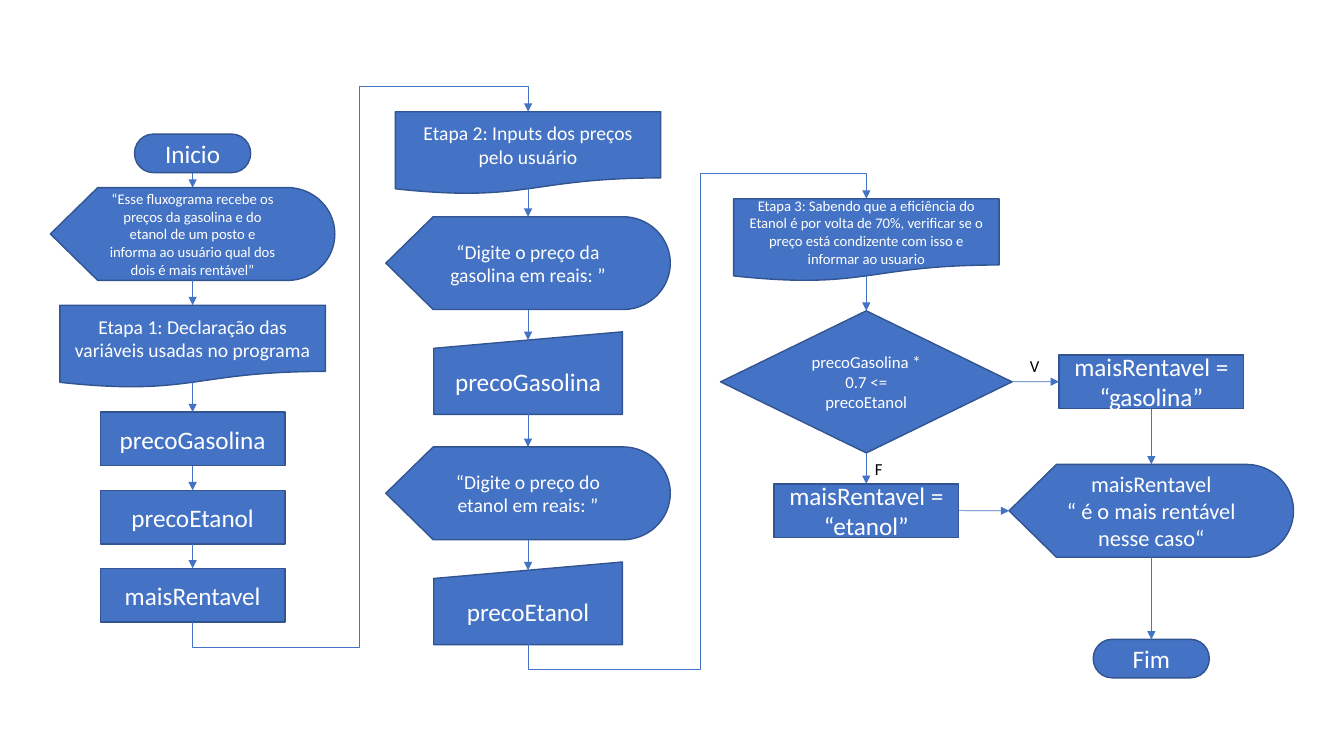
from dataclasses import dataclass
from itertools import pairwise

from lxml.etree import SubElement
from pptx import Presentation
from pptx.dml.color import RGBColor
from pptx.enum.shapes import MSO_CONNECTOR, MSO_SHAPE
from pptx.enum.text import MSO_ANCHOR, MSO_AUTO_SIZE, PP_ALIGN
from pptx.oxml.ns import qn
from pptx.shapes.connector import Connector
from pptx.slide import Slide
from pptx.text.text import TextFrame
from pptx.util import Pt

COLORS = {"fill": "4472C4", "outline": "325491", "light": "FFFFFF", "dark": "000000"}
FONT = "Calibri"
DETOUR = 18


@dataclass(frozen=True)
class Kind:
    preset: MSO_SHAPE
    width: float
    height: float
    top_inset: float = 0
    bottom_inset: float = 0


TERMINATOR = Kind(MSO_SHAPE.FLOWCHART_TERMINATOR, 83, 27.5)
PROCESS = Kind(MSO_SHAPE.FLOWCHART_PROCESS, 132, 38.3)
DOCUMENT = Kind(MSO_SHAPE.FLOWCHART_DOCUMENT, 189.6, 59, bottom_inset=3.9)
DISPLAY = Kind(MSO_SHAPE.FLOWCHART_DISPLAY, 203.2, 66.3)
DECISION = Kind(MSO_SHAPE.FLOWCHART_DECISION, 208.2, 101.5)
MANUAL_INPUT = Kind(MSO_SHAPE.FLOWCHART_MANUAL_INPUT, 134.8, 59, top_inset=5.9)


@dataclass(frozen=True)
class Node:
    kind: Kind
    center: float
    top: float
    text: str
    size: float = 18

    @property
    def left(self) -> float:
        return self.center - self.kind.width / 2

    @property
    def right(self) -> float:
        return self.center + self.kind.width / 2

    @property
    def middle(self) -> float:
        return self.top + self.kind.height / 2

    @property
    def entry(self) -> float:
        return self.top + self.kind.top_inset

    @property
    def exit(self) -> float:
        return self.top + self.kind.height - self.kind.bottom_inset


@dataclass(frozen=True)
class Label:
    text: str
    left: float
    top: float


def format_text(frame: TextFrame, size: float, color: str) -> None:
    for paragraph in frame.paragraphs:
        for run in paragraph.runs:
            run.font.name = FONT
            run.font.size = Pt(size)
            run.font.color.rgb = RGBColor.from_string(COLORS[color])


def draw_node(slide: Slide, node: Node) -> None:
    kind = node.kind
    shape = slide.shapes.add_shape(
        kind.preset, Pt(node.left), Pt(node.top), Pt(kind.width), Pt(kind.height)
    )
    shape.shadow.inherit = False
    shape.fill.solid()
    shape.fill.fore_color.rgb = RGBColor.from_string(COLORS["fill"])
    shape.line.color.rgb = RGBColor.from_string(COLORS["outline"])
    shape.line.width = Pt(1)
    frame = shape.text_frame
    frame.text = node.text
    frame.word_wrap = True
    frame.vertical_anchor = MSO_ANCHOR.MIDDLE
    for paragraph in frame.paragraphs:
        paragraph.alignment = PP_ALIGN.CENTER
    format_text(frame, node.size, "light")


def draw_label(slide: Slide, label: Label) -> None:
    box = slide.shapes.add_textbox(Pt(label.left), Pt(label.top), Pt(21), Pt(21.8))
    frame = box.text_frame
    frame.text = label.text
    frame.word_wrap = False
    frame.auto_size = MSO_AUTO_SIZE.SHAPE_TO_FIT_TEXT
    format_text(frame, 12, "dark")


def draw_arrow(
    slide: Slide,
    begin: tuple[float, float],
    end: tuple[float, float],
    connector_type: MSO_CONNECTOR = MSO_CONNECTOR.STRAIGHT,
) -> Connector:
    connector = slide.shapes.add_connector(
        connector_type, *(Pt(value) for value in begin + end)
    )
    connector.line.color.rgb = RGBColor.from_string(COLORS["fill"])
    connector.line.width = Pt(0.5)
    SubElement(connector.line._get_or_add_ln(), qn("a:tailEnd"), type="triangle")
    SubElement(connector._element.spPr, qn("a:effectLst"))
    return connector


def draw_down_arrow(slide: Slide, source: Node, target: Node) -> None:
    draw_arrow(slide, (source.center, source.exit), (target.center, target.entry))


def draw_right_arrow(slide: Slide, source: Node, target: Node) -> None:
    draw_arrow(slide, (source.right, source.middle), (target.left, target.middle))


def draw_column_jump(slide: Slide, source: Node, target: Node, lane: float) -> None:
    rise = source.exit - target.entry
    run = target.center - source.center
    center_x = (source.center + target.center) / 2
    center_y = (source.exit + target.entry) / 2
    connector = draw_arrow(
        slide,
        (center_x + rise / 2, center_y + run / 2),
        (center_x - rise / 2, center_y - run / 2),
        MSO_CONNECTOR.ELBOW,
    )
    properties = connector._element.spPr
    properties.find(qn("a:xfrm")).set("rot", "5400000")
    geometry = properties.find(qn("a:prstGeom"))
    geometry.set("prst", "bentConnector5")
    adjustments = geometry.find(qn("a:avLst"))
    ratios = (-DETOUR / rise, (lane - source.center) / run, 1 + DETOUR / rise)
    for number, ratio in enumerate(ratios, start=1):
        SubElement(
            adjustments, qn("a:gd"), name=f"adj{number}", fmla=f"val {round(ratio * 100000)}"
        )


FIRST, SECOND, THIRD, FOURTH = 137.6, 377.2, 618.8, 822.4

declaration_column = [
    Node(TERMINATOR, FIRST, 95.8, "Inicio"),
    Node(DISPLAY, FIRST, 134, "“Esse fluxograma recebe os preços da gasolina e do etanol de um "
         "posto e informa ao usuário qual dos dois é mais rentável”", 10.5),
    Node(DOCUMENT, FIRST, 218, "Etapa 1: Declaração das variáveis usadas no programa", 14),
] + [
    Node(PROCESS, FIRST, 294.4 + 55.8 * index, name)
    for index, name in enumerate(("precoGasolina", "precoEtanol", "maisRentavel"))
]
input_column = [Node(DOCUMENT, SECOND, 79.8, "Etapa 2: Inputs dos preços pelo usuário", 14)]
for index, (fuel, variable) in enumerate(
    (("gasolina", "precoGasolina"), ("etanol", "precoEtanol"))
):
    offset = 164.4 * index
    input_column += [
        Node(DISPLAY, SECOND, 154.8 + offset, f"“Digite o preço da {fuel} em reais: ”"
             if fuel == "gasolina" else f"“Digite o preço do {fuel} em reais: ”", 14),
        Node(MANUAL_INPUT, SECOND, 237 + offset, variable),
    ]

decision = Node(DECISION, THIRD, 222, "precoGasolina * 0.7 <= precoEtanol", 12)
ethanol = Node(PROCESS, THIRD, 345.6, "maisRentavel = “etanol”")
gasoline = Node(PROCESS, FOURTH, 253.5, "maisRentavel = “gasolina”")
answer = Node(DISPLAY, FOURTH, 331.7, "maisRentavel\n“ é o mais rentável nesse caso“", 16)
decision_column = [
    Node(DOCUMENT, THIRD, 142, "Etapa 3: Sabendo que a eficiência do Etanol é por volta de 70%, "
         "verificar se o preço está condizente com isso e informar ao usuario", 10.5),
    decision,
    ethanol,
]
result_column = [gasoline, answer, Node(TERMINATOR, FOURTH, 456.7, "Fim")]
labels = [Label("V", 728.6, 250.6), Label("F", 617.8, 324)]

presentation = Presentation()
presentation.slide_width = Pt(960)
presentation.slide_height = Pt(540)
slide = presentation.slides.add_slide(presentation.slide_layouts[6])

for column in (declaration_column, input_column, decision_column, result_column):
    for node in column:
        draw_node(slide, node)
    for source, target in pairwise(column):
        draw_down_arrow(slide, source, target)
draw_right_arrow(slide, decision, gasoline)
draw_right_arrow(slide, ethanol, answer)
draw_column_jump(slide, declaration_column[-1], input_column[0], lane=256.5)
draw_column_jump(slide, input_column[-1], decision_column[0], lane=500.4)
for label in labels:
    draw_label(slide, label)

presentation.save("out.pptx")
